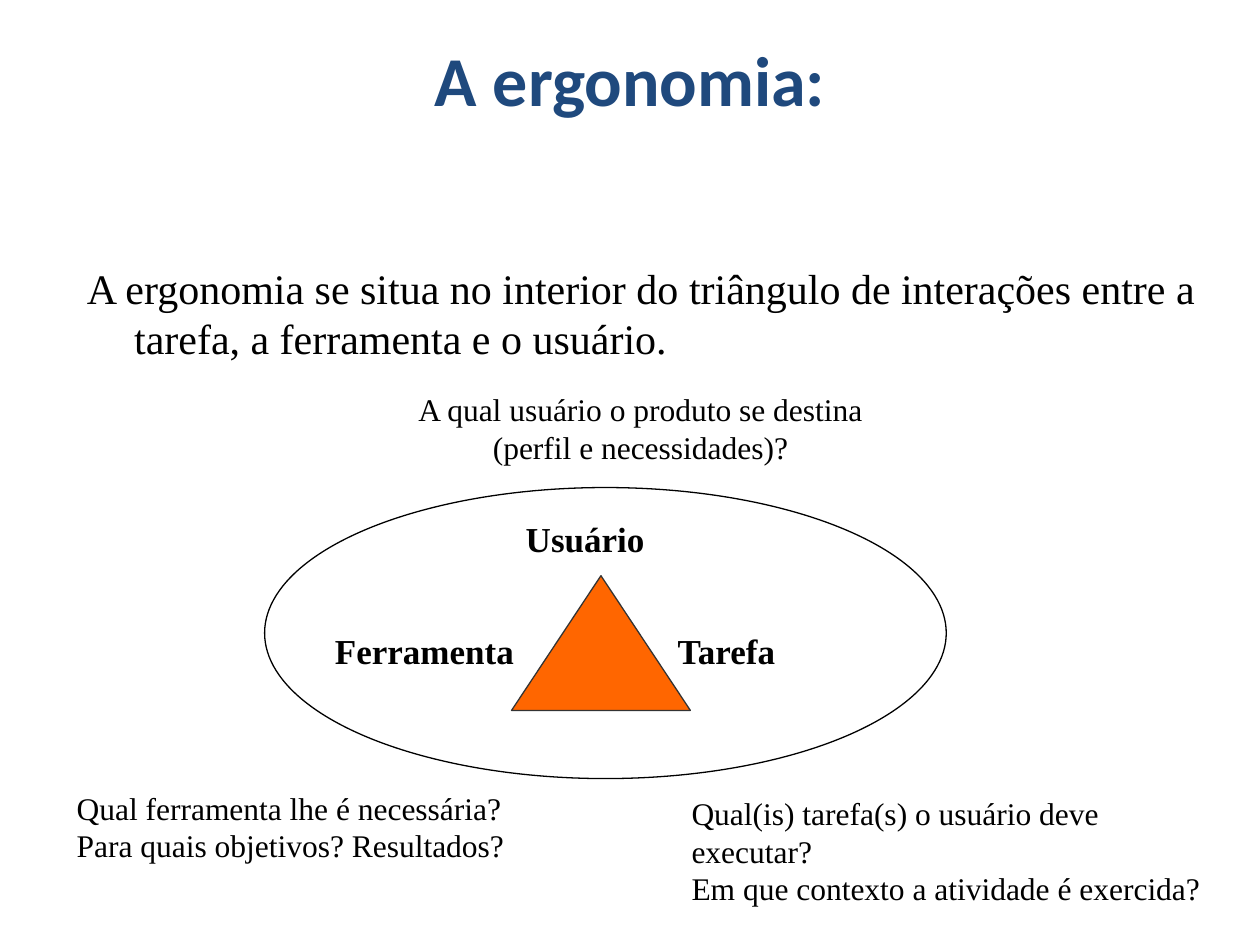
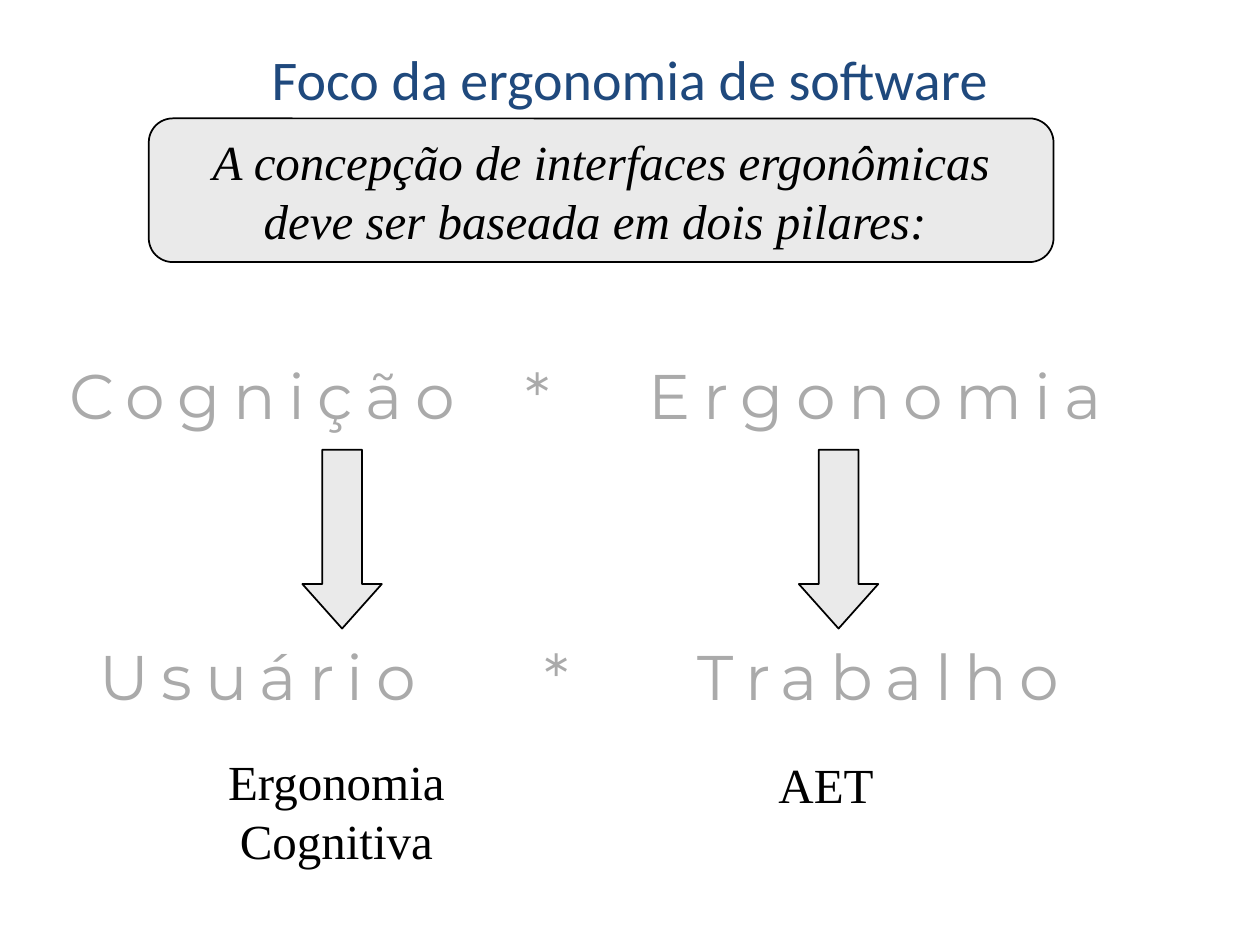
from lxml import etree
from pptx import Presentation
from pptx.dml.color import RGBColor
from pptx.enum.shapes import MSO_SHAPE
from pptx.enum.text import MSO_ANCHOR, MSO_AUTO_SIZE, PP_ALIGN
from pptx.oxml.ns import qn
from pptx.util import Pt

LEFT, CENTER = PP_ALIGN.LEFT, PP_ALIGN.CENTER
TOP, MIDDLE = MSO_ANCHOR.TOP, MSO_ANCHOR.MIDDLE
NO_FIT = MSO_AUTO_SIZE.NONE
RECTANGLE, ELLIPSE = MSO_SHAPE.RECTANGLE, MSO_SHAPE.OVAL
TRIANGLE = MSO_SHAPE.ISOSCELES_TRIANGLE
ROUNDED, DOWN_ARROW = MSO_SHAPE.ROUNDED_RECTANGLE, MSO_SHAPE.DOWN_ARROW

COLORS = {
    "title": "1F497D",
    "text": "000000",
    "paper": "FFFFFF",
    "orange": "FF6600",
    "triangle_edge": "333333",
    "panel": "EAEAEA",
    "pillar": "AAAAAA",
}
SERIF, TITLE_FONT, PILLAR_FONT = "Times New Roman", "Calibri", "Montserrat"
TITLE_ONLY, TITLE_AND_BODY = 5, 1


def color(name):
    return RGBColor.from_string(COLORS[name])


def write(frame, text, size=18, font=SERIF, ink="text", bold=False,
          italic=False, align=LEFT, anchor=TOP, wrap=True, tracking=0,
          hanging=0, tabs=()):
    frame.word_wrap = wrap
    frame.auto_size = NO_FIT
    frame.vertical_anchor = anchor
    for number, line in enumerate(text.split("\n")):
        paragraph = frame.add_paragraph() if number else frame.paragraphs[0]
        paragraph.alignment = align
        run = paragraph.add_run()
        run.text = line
        run.font.size = Pt(size)
        run.font.name = font
        run.font.bold = bold
        run.font.italic = italic
        run.font.color.rgb = color(ink)
        if tracking:
            run.font._element.set("spc", str(int(tracking * 100)))
        properties = paragraph._p.get_or_add_pPr()
        if hanging:
            properties.set("marL", str(Pt(hanging)))
            properties.set("indent", str(-Pt(hanging)))
            etree.SubElement(properties, qn("a:buNone"))
        if tabs:
            stops = etree.SubElement(properties, qn("a:tabLst"))
            for position in tabs:
                etree.SubElement(stops, qn("a:tab"), pos=str(Pt(position)), algn="l")


class Deck:
    def __init__(self):
        self.presentation = Presentation()
        self.presentation.slide_width = Pt(720)
        self.presentation.slide_height = Pt(540)
        self.slide = None

    def new_slide(self, layout, title, left, width, **style):
        layouts = self.presentation.slide_layouts
        self.slide = self.presentation.slides.add_slide(layouts[layout])
        heading = self.slide.shapes.title
        self.place(heading, (left, 12, width, 65.5))
        write(heading.text_frame, title, font=TITLE_FONT, ink="title",
              align=CENTER, anchor=MIDDLE, **style)

    def place(self, shape, box):
        shape.left, shape.top, shape.width, shape.height = map(Pt, box)

    def body(self, text, box, top_inset, **style):
        holder = self.slide.placeholders[1]
        self.place(holder, box)
        holder.text_frame.margin_top = Pt(top_inset)
        write(holder.text_frame, text, **style)

    def shape(self, kind, box, fill="paper", line=None, weight=1, adjustments=()):
        drawn = self.slide.shapes.add_shape(kind, *map(Pt, box))
        drawn.shadow.inherit = False
        drawn.fill.solid()
        drawn.fill.fore_color.rgb = color(fill)
        if line:
            drawn.line.color.rgb = color(line)
            drawn.line.width = Pt(weight)
        else:
            drawn.line.fill.background()
        for index, value in enumerate(adjustments):
            drawn.adjustments[index] = value
        return drawn

    def label(self, text, box, **style):
        write(self.shape(RECTANGLE, box).text_frame, text, **style)

    def text(self, text, box, **style):
        holder = self.slide.shapes.add_textbox(*map(Pt, box))
        write(holder.text_frame, text, **style)


def ergonomics_triangle(deck):
    deck.new_slide(TITLE_AND_BODY, "A ergonomia:", 0, 720, size=40, bold=True)
    deck.body("A ergonomia se situa no interior do triângulo de interações "
              "entre a tarefa, a ferramenta e o usuário.",
              (42.5, 122.4, 648, 378), 27.5, size=24, hanging=27)
    deck.shape(ELLIPSE, (151.2, 278.6, 389.5, 166.3), line="text", weight=0.75)
    corners = [
        ("Usuário", (288.7, 292.3, 91.4, 41.8), CENTER),
        ("Ferramenta", (184.3, 356.4, 127.4, 41.8), LEFT),
        ("Tarefa", (380.2, 356.4, 91.4, 41.8), LEFT),
    ]
    for corner, box, align in corners:
        deck.label(corner, box, size=20, bold=True, align=align)
    deck.shape(TRIANGLE, (292.3, 329, 102.2, 77), fill="orange",
               line="triangle_edge", weight=0.75)
    questions = [
        ("A qual usuário o produto se destina (perfil e necessidades)?",
         (219.6, 219.6, 293, 50.4), CENTER),
        ("Qual ferramenta lhe é necessária?\nPara quais objetivos? Resultados?",
         (36.7, 447.1, 289.4, 69.1), LEFT),
        ("Qual(is) tarefa(s) o usuário deve executar?\n"
         "Em que contexto a atividade é exercida?",
         (388.1, 450, 314.6, 90), LEFT),
    ]
    for question, box, align in questions:
        deck.label(question, box, align=align)


def software_pillars(deck):
    deck.new_slide(TITLE_ONLY, "Foco da ergonomia de software", 54, 612, size=32)
    pillar_rows = [
        ("Cognição\t*\tErgonomia", (32.4, 200.2, 620, 51.1), (260.6, 331.2)),
        ("Usuário\t*\tTrabalho", (49.7, 360.7, 590, 51.1), (254.2, 342)),
    ]
    for row, box, tabs in pillar_rows:
        deck.text(row, box, size=36, font=PILLAR_FONT, ink="pillar",
                  tracking=7.2, tabs=tabs)
    for arrow_left in (172.8, 456.5):
        deck.shape(DOWN_ARROW, (arrow_left, 257, 45.4, 102.2), fill="panel",
                   line="text", adjustments=(0.5, 0.56))
    foundations = [
        ("Ergonomia\nCognitiva", (123.1, 426.2, 138.2, 74.2)),
        ("AET", (437.8, 427.7, 68.4, 41)),
    ]
    for foundation, box in foundations:
        deck.text(foundation, box, size=28, align=CENTER, wrap=False)
    premise = deck.shape(ROUNDED, (85, 67.7, 517, 82.1), fill="panel", line="text")
    write(premise.text_frame, "A concepção de interfaces ergonômicas deve ser "
          "baseada em dois pilares: ", size=28, italic=True, align=CENTER)


def main():
    deck = Deck()
    ergonomics_triangle(deck)
    software_pillars(deck)
    deck.presentation.save("out.pptx")


if __name__ == "__main__":
    main()
